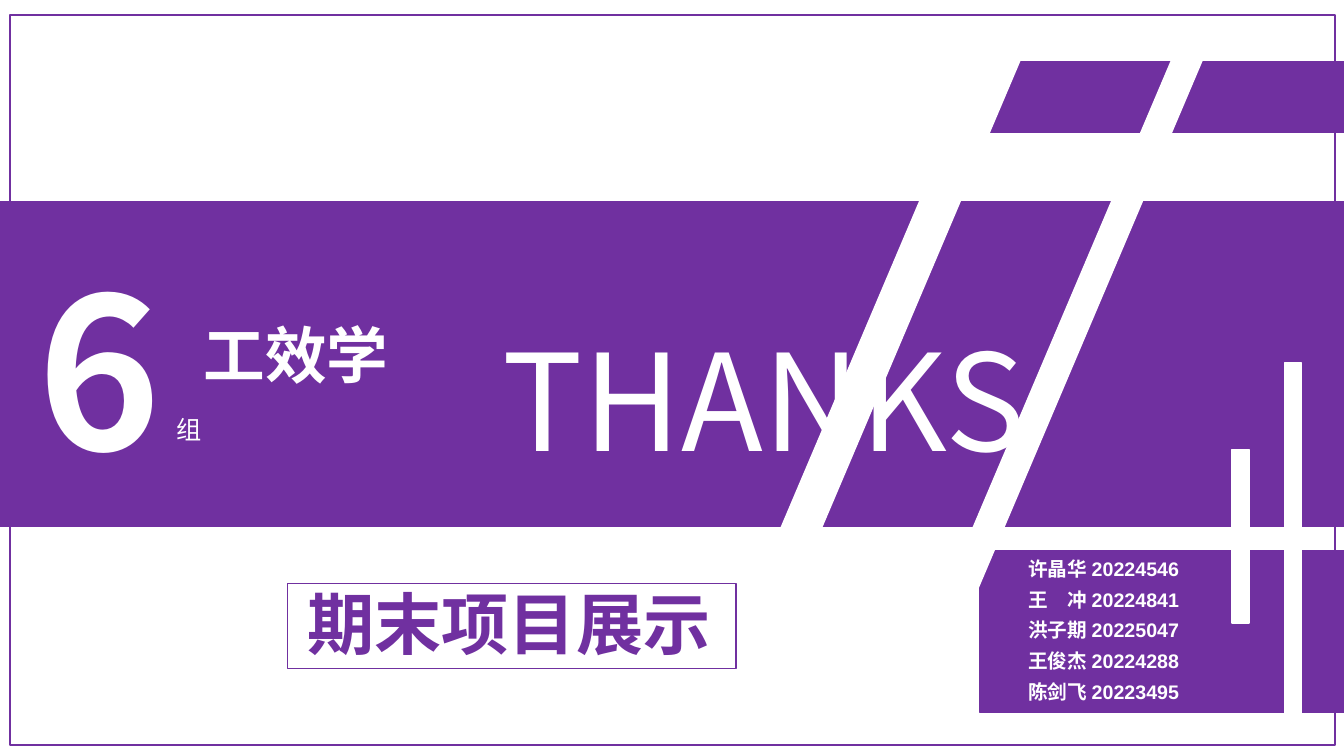
from dataclasses import dataclass

from pptx import Presentation
from pptx.dml.color import RGBColor
from pptx.enum.shapes import MSO_SHAPE
from pptx.enum.text import MSO_ANCHOR
from pptx.oxml.ns import qn
from pptx.slide import Slide
from pptx.util import Inches, Pt

COLORS = {"purple": "7030A0", "white": "FFFFFF"}
LATIN_FONT = "Arial"
CJK_FONT = "Noto Sans CJK JP"


@dataclass(frozen=True)
class Block:
    left: float
    top: float
    width: float
    height: float
    color: str = "purple"
    filled: bool = True
    rotation: float = 0


# Purple bands behind the text
BANDS = [
    Block(9.8, 0.61, 5.54, 0.7),
    Block(9.72, 5.46, 5.54, 1.61),
    Block(-0.26, 2, 14.31, 3.22),
]
PAGE_FRAME = Block(0.1, 0.15, 13.14, 7.24, filled=False)
TITLE_FRAME = Block(2.85, 5.79, 4.45, 0.84, filled=False)

# White bars and slanted stripes that cut the bands
CUTS = [
    Block(12.74, 3.6, 0.17, 3.64, "white"),
    Block(12.22, 4.46, 0.17, 1.72, "white"),
    Block(10.58, 0.03, 0.28, 6.09, "white", rotation=23),
    Block(8.78, 0.14, 0.37, 5.4, "white", rotation=23),
]

MEMBERS = [
    "许晶华 20224546",
    "王　冲 20224841",
    "洪子期 20225047",
    "王俊杰 20224288",
    "陈剑飞 20223495",
]


def rgb(name: str) -> RGBColor:
    return RGBColor.from_string(COLORS[name])


def add_block(slide: Slide, block: Block) -> None:
    shape = slide.shapes.add_shape(
        MSO_SHAPE.RECTANGLE, Inches(block.left), Inches(block.top),
        Inches(block.width), Inches(block.height))
    shape.shadow.inherit = False
    shape.rotation = block.rotation
    if block.filled:
        shape.fill.solid()
        shape.fill.fore_color.rgb = rgb(block.color)
    else:
        shape.fill.background()
    shape.line.color.rgb = rgb(block.color)
    shape.line.width = Pt(1)


def add_text(slide: Slide, lines: list[str], left: float, top: float,
             width: float, height: float, *, size: float,
             color: str = "white", bold: bool = False,
             font: str = LATIN_FONT, spacing: float = 1.0,
             anchor: MSO_ANCHOR = MSO_ANCHOR.TOP) -> None:
    box = slide.shapes.add_textbox(
        Inches(left), Inches(top), Inches(width), Inches(height))
    frame = box.text_frame
    frame.word_wrap = True
    frame.vertical_anchor = anchor
    for index, line in enumerate(lines):
        paragraph = frame.paragraphs[0] if index == 0 else frame.add_paragraph()
        paragraph.line_spacing = spacing
        run = paragraph.add_run()
        run.text = line
        run.font.size = Pt(size)
        run.font.bold = bold
        run.font.name = font
        run.font.color.rgb = rgb(color)
        east_asian = run.font._element.makeelement(
            qn("a:ea"), {"typeface": CJK_FONT})
        run.font._element.append(east_asian)


def main() -> None:
    presentation = Presentation()
    presentation.slide_width = Inches(13.33)
    presentation.slide_height = Inches(7.5)
    slide = presentation.slides.add_slide(presentation.slide_layouts[6])

    for band in BANDS:
        add_block(slide, band)

    # Group number, course and title
    add_text(slide, ["6"], 0.27, 2.34, 1.44, 2.54,
             size=150, bold=True, font=CJK_FONT)
    add_text(slide, ["组"], 1.65, 4.06, 0.49, 0.4, size=18)
    add_text(slide, ["工效学"], 1.92, 3.1, 2.3, 0.84, size=44, bold=True)
    add_text(slide, ["期末项目展示"], 2.95, 5.73, 4.44, 0.91,
             size=48, color="purple", bold=True)
    add_block(slide, PAGE_FRAME)

    # Group members
    add_text(slide, MEMBERS, 10.1, 5.41, 2.88, 1.76,
             size=14, bold=True, spacing=1.3)

    for cut in CUTS:
        add_block(slide, cut)
    add_block(slide, TITLE_FRAME)

    # Closing word
    add_text(slide, ["THANKS"], 4.89, 3.1, 6.41, 1.72,
             size=96, font=CJK_FONT)

    presentation.save("out.pptx")


if __name__ == "__main__":
    main()
